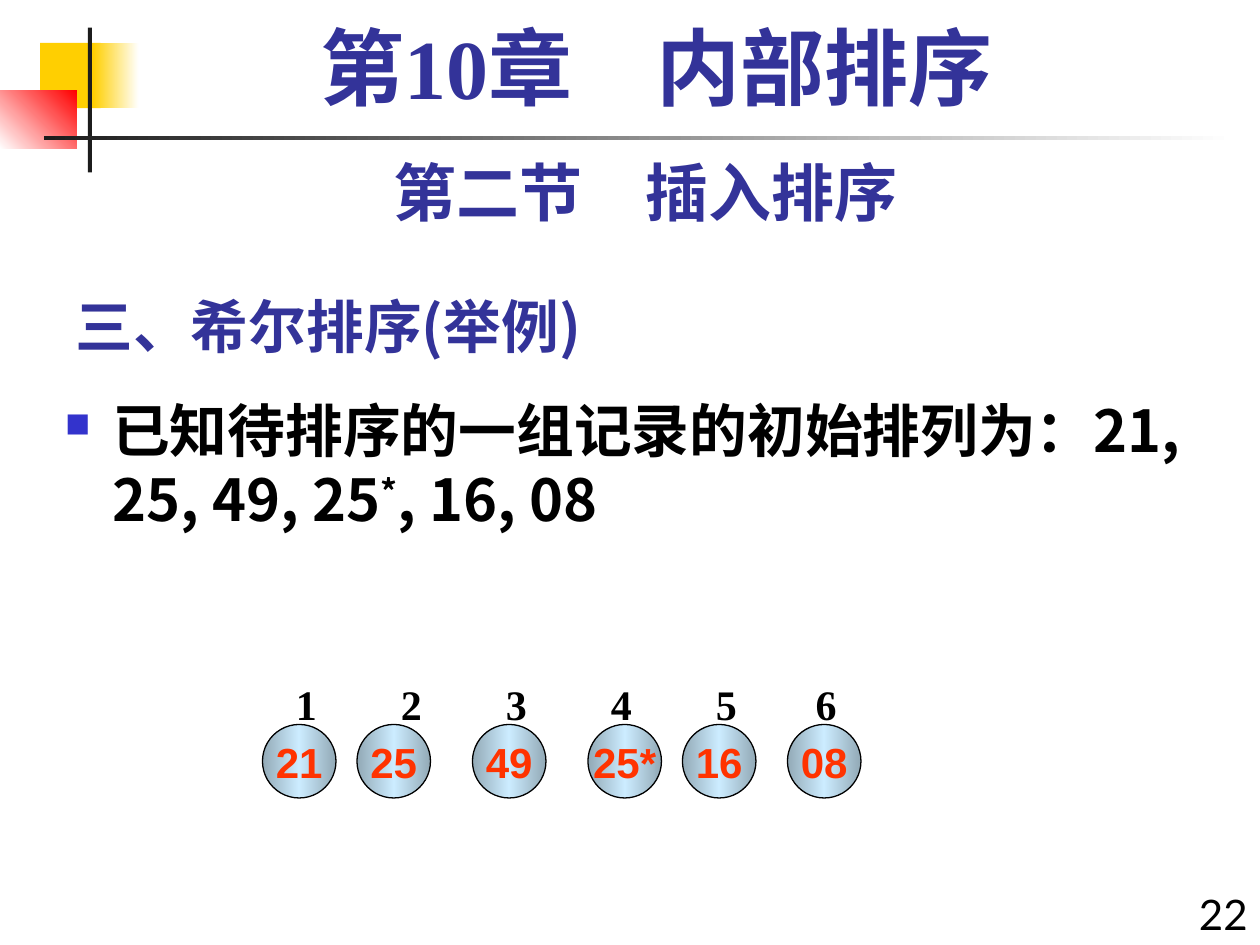
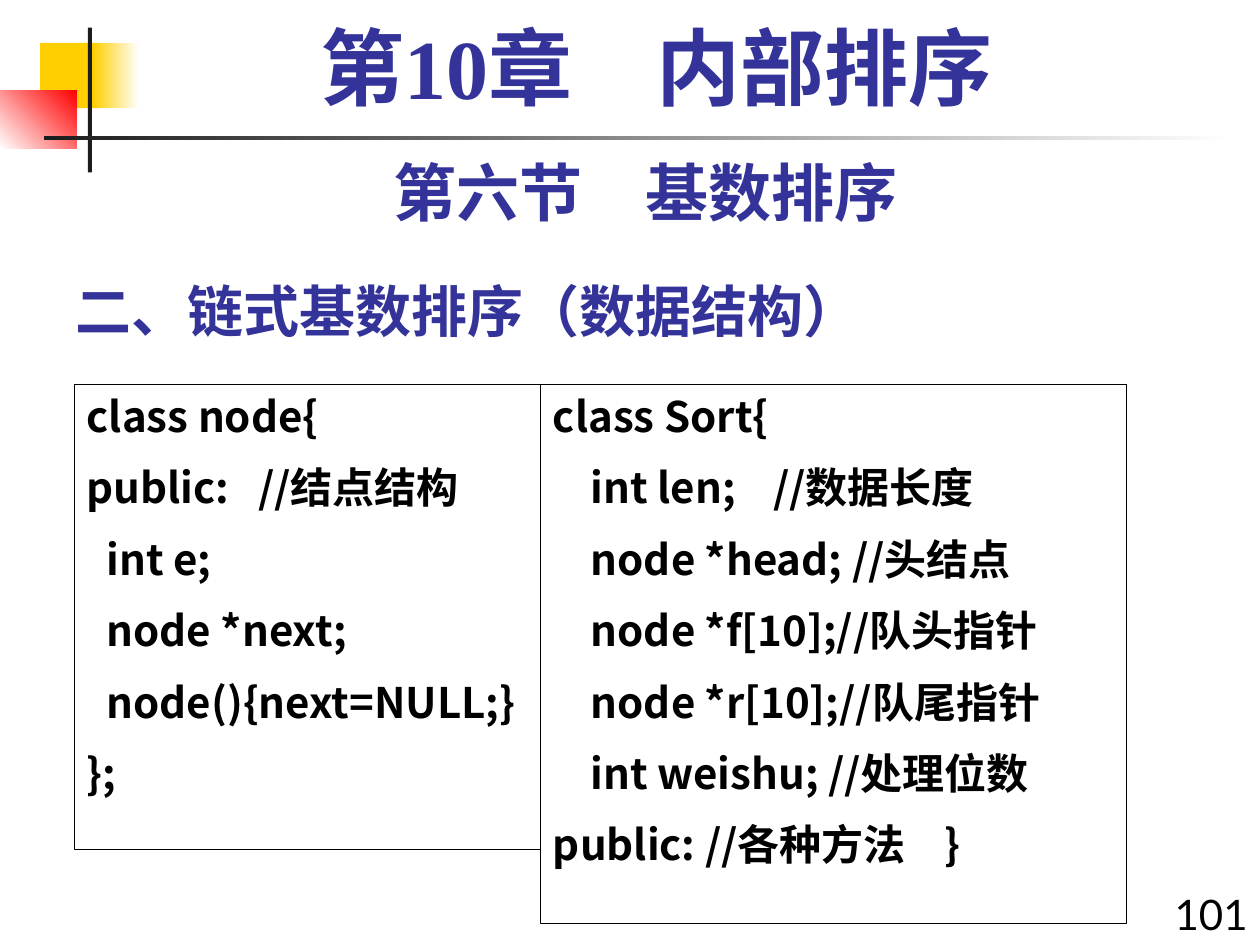
"""Builds two lecture slides on internal sorting."""
from dataclasses import dataclass
from typing import NamedTuple

from lxml.etree import SubElement
from pptx import Presentation
from pptx.dml.color import RGBColor
from pptx.enum.shapes import MSO_SHAPE
from pptx.enum.text import MSO_ANCHOR, PP_ALIGN
from pptx.oxml.ns import qn
from pptx.util import Pt


@dataclass(frozen=True)
class Theme:
    heading: str = "333399"
    ink: str = "000000"
    paper: str = "FFFFFF"
    bullet: str = "3333CC"
    yellow: str = "FFCF01"
    red: str = "FF0000"
    rule: str = "1C1C1C"
    ball_edge: str = "92A9B6"
    ball_core: str = "CCECFF"
    key: str = "FF3300"
    cjk: str = "Noto Sans CJK SC"
    serif: str = "Times New Roman"
    sans: str = "Arial"
    plain: str = "Lato"
    chapter_size: int = 48
    section_size: int = 36
    body_size: int = 33
    small_size: int = 24


THEME = Theme()


class Box(NamedTuple):
    left: float
    top: float
    width: float
    height: float


class Style(NamedTuple):
    font: str
    size: float
    color: str = THEME.ink
    bold: bool = True


class Piece(NamedTuple):
    text: str
    baseline: int = 0


class Band(NamedTuple):
    box: Box
    colors: tuple
    angle: int = 0


class Record(NamedTuple):
    key: str
    left: float


@dataclass(frozen=True)
class Para:
    pieces: tuple
    align: PP_ALIGN = PP_ALIGN.LEFT
    before: int = 0
    line_spacing: float | None = None
    tabs: tuple = ()
    bulleted: bool = False


@dataclass(frozen=True)
class Listing:
    box: Box
    tabs: tuple
    lines: tuple


CHAPTER = Style(THEME.serif, THEME.chapter_size, THEME.heading)
SECTION = Style(THEME.plain, THEME.section_size, THEME.heading)
BODY = Style(THEME.cjk, THEME.body_size)
CODE = Style(THEME.cjk, THEME.small_size)
PAGE = Style(THEME.plain, THEME.small_size, bold=False)
POSITION = Style(THEME.serif, THEME.small_size)
KEY = Style(THEME.sans, THEME.small_size, THEME.key)

BANDS = (
    Band(Box(23, 24.5, 34.5, 37.3), (THEME.yellow,)),
    Band(Box(53.3, 24.5, 26, 37.3), (THEME.yellow, THEME.paper)),
    Band(Box(0, 51.8, 44, 33.1), (THEME.paper, THEME.red), 45),
    Band(Box(50.3, 15.8, 2.2, 82.8), (THEME.rule,)),
    Band(Box(25.2, 77.8, 680, 2.5), (THEME.rule, THEME.paper)),
)
HANG = 27
BALL_TOP, BALL_SIZE = 414, 42
RECORDS = (Record("21", 150), Record("25", 204), Record("49", 270),
           Record("25*", 336), Record("16", 390), Record("08", 450))
POSITION_TABS = (60, 120, 180, 240, 297)
LISTINGS = (
    Listing(Box(42.5, 219.6, 266.4, 265.7), (11.4, 98), (
        "class node{",
        "public:\t//结点结构",
        "\tint e;",
        "\tnode *next;",
        "\tnode(){next=NULL;}",
        "};",
    )),
    Listing(Box(308.9, 219.6, 334.8, 308.2), (21.6, 126, 224), (
        "class Sort{",
        "\tint len;\t//数据长度",
        "\tnode *head; //头结点",
        "\tnode *f[10];//队头指针",
        "\tnode *r[10];//队尾指针",
        "\tint weishu; //处理位数",
        "public: //各种方法\t}",
    )),
)


def rgb(color: str) -> RGBColor:
    """Turn a hex string into a colour."""
    return RGBColor.from_string(color)


def emu(box: Box) -> list:
    """Turn a box in points into lengths."""
    return [Pt(value) for value in box]


def paint(shape, colors: tuple, angle: int = 0) -> None:
    """Fill a shape with one colour or an even gradient."""
    if len(colors) == 1:
        shape.fill.solid()
        shape.fill.fore_color.rgb = rgb(colors[0])
        return
    shape.fill.gradient()
    shape.fill.gradient_angle = angle
    stops = shape.element.spPr.find(qn("a:gradFill")).find(qn("a:gsLst"))
    for stop in list(stops):
        stops.remove(stop)
    for index, color in enumerate(colors):
        stop = SubElement(stops, qn("a:gs"), pos=str(100000 * index // (len(colors) - 1)))
        SubElement(stop, qn("a:srgbClr"), val=color)


def outline(shape) -> None:
    """Draw the thin black outline."""
    shape.line.color.rgb = rgb(THEME.ink)
    shape.line.width = Pt(0.75)


def format_para(paragraph, para: Para) -> None:
    """Apply alignment, spacing, bullet and tab stops."""
    paragraph.alignment = para.align
    if para.line_spacing:
        paragraph.line_spacing = para.line_spacing
    props = paragraph._p.get_or_add_pPr()
    if para.before:
        SubElement(SubElement(props, qn("a:spcBef")), qn("a:spcPct"), val=str(para.before * 1000))
    if para.bulleted:
        props.set("marL", str(Pt(HANG)))
        props.set("indent", str(-Pt(HANG)))
        SubElement(SubElement(props, qn("a:buClr")), qn("a:srgbClr"), val=THEME.bullet)
        SubElement(props, qn("a:buSzPct"), val="60000")
        SubElement(props, qn("a:buChar"), char="■")
    if para.tabs:
        stops = SubElement(props, qn("a:tabLst"))
        for position in para.tabs:
            SubElement(stops, qn("a:tab"), pos=str(Pt(position)), algn="l")


def write(frame, paras: list, style: Style, anchor=MSO_ANCHOR.TOP, wrap: bool = True) -> None:
    """Write paragraphs run by run into a text frame."""
    frame.word_wrap = wrap
    frame.vertical_anchor = anchor
    for index, para in enumerate(paras):
        paragraph = frame.paragraphs[0] if index == 0 else frame.add_paragraph()
        format_para(paragraph, para)
        for piece in para.pieces:
            run = paragraph.add_run()
            run.text = piece.text
            run.font.name = style.font
            run.font.size = Pt(style.size)
            run.font.bold = style.bold
            run.font.color.rgb = rgb(style.color)
            props = run._r.get_or_add_rPr()
            SubElement(props, qn("a:ea"), typeface=THEME.cjk)
            if piece.baseline:
                props.set("baseline", str(piece.baseline * 1000))


def add_text(slide, box: Box, paras: list, style: Style, anchor=MSO_ANCHOR.TOP):
    """Add a text box and return it."""
    holder = slide.shapes.add_textbox(*emu(box))
    write(holder.text_frame, paras, style, anchor)
    return holder


def line(text: str, **options) -> Para:
    """Make a paragraph of a single run."""
    return Para((Piece(text),), **options)


def add_frame(deck, section: str, page: str, heading: str, box: Box, size: float):
    """Add a slide with the bands, titles and page number."""
    slide = deck.slides.add_slide(deck.slide_layouts[6])
    for band in BANDS:
        bar = slide.shapes.add_shape(MSO_SHAPE.RECTANGLE, *emu(band.box))
        bar.shadow.inherit = False
        bar.line.fill.background()
        paint(bar, band.colors, band.angle)
    add_text(slide, box, [line(heading)], Style(THEME.cjk, size, THEME.heading), MSO_ANCHOR.BOTTOM)
    add_text(slide, Box(649, 504, 71, 36), [line(page, align=PP_ALIGN.RIGHT, before=50)], PAGE)
    add_text(slide, Box(36, 84, 666, 50.4),
             [line(section, align=PP_ALIGN.CENTER, before=50)], SECTION)
    add_text(slide, Box(48, 12, 654, 60),
             [line("第10章　内部排序", align=PP_ALIGN.CENTER, before=20, line_spacing=0.9)], CHAPTER)
    return slide


def build_shell_sort(deck) -> None:
    """Build the Shell sort example."""
    slide = add_frame(deck, "第二节　插入排序", "22", "三、希尔排序(举例)",
                      Box(36, 156, 450, 53.5), THEME.body_size)
    pieces = (Piece("已知待排序的一组记录的初始排列为：21, 25, 49, 25"),
              Piece("*", 30), Piece(", 16, 08"))
    add_text(slide, Box(30, 222, 690, 318), [Para(pieces, before=30, bulleted=True)], BODY)
    positions = "\t".join(str(number) for number in range(1, len(RECORDS) + 1))
    add_text(slide, Box(162, 384, 348, 36), [line(positions, tabs=POSITION_TABS)], POSITION)
    for record in RECORDS:
        ball = slide.shapes.add_shape(
            MSO_SHAPE.OVAL, *emu(Box(record.left, BALL_TOP, BALL_SIZE, BALL_SIZE)))
        ball.shadow.inherit = False
        paint(ball, (THEME.ball_edge, THEME.ball_core, THEME.ball_edge))
        outline(ball)
        write(ball.text_frame, [line(record.key, align=PP_ALIGN.CENTER)], KEY,
              MSO_ANCHOR.MIDDLE, wrap=False)


def build_radix_sort(deck) -> None:
    """Build the data structures of the linked radix sort."""
    slide = add_frame(deck, "第六节　基数排序", "101", "二、链式基数排序（数据结构）",
                      Box(36, 146, 594, 54), THEME.body_size - 1)
    for listing in LISTINGS:
        paras = [line(text, before=50, tabs=listing.tabs) for text in listing.lines]
        outline(add_text(slide, listing.box, paras, CODE))


def main() -> None:
    """Build and save the deck."""
    deck = Presentation()
    deck.slide_width, deck.slide_height = Pt(720), Pt(540)
    build_shell_sort(deck)
    build_radix_sort(deck)
    deck.save("out.pptx")


if __name__ == "__main__":
    main()
